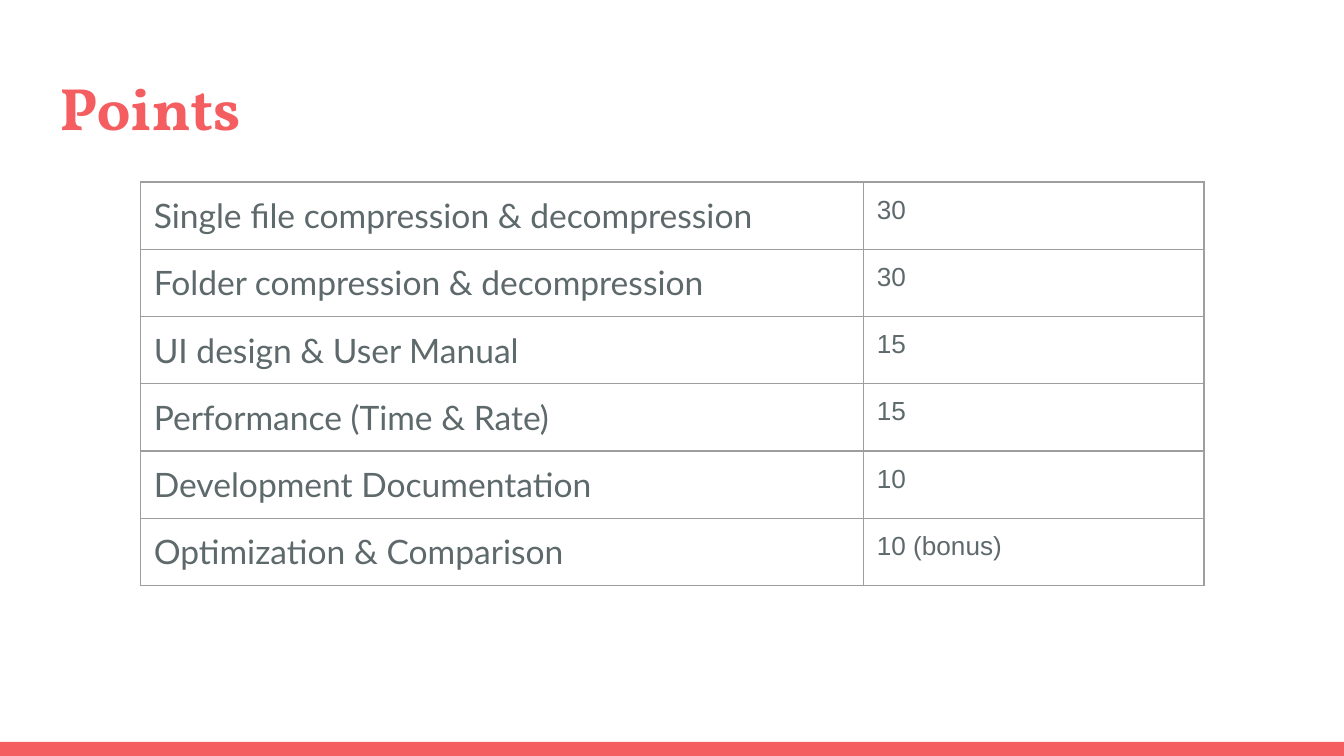
from lxml import etree
from pptx import Presentation, util as u
from pptx.dml.color import RGBColor
from pptx.enum import shapes, text
from pptx.oxml import ns

COLORS = {"coral": "F55E61", "slate": "5E696C", "rule": "9E9E9E", "white": "FFFFFF"}
COLUMNS = 100
ROWS = COLUMNS * 9 / 16

POINTS = [
    ("Single file compression & decompression", "30"),
    ("Folder compression & decompression", "30"),
    ("UI design & User Manual", "15"),
    ("Performance (Time & Rate)", "15"),
    ("Development Documentation", "10"),
    ("Optimization & Comparison", "10 (bonus)"),
]


def rgb(name):
    return RGBColor.from_string(COLORS[name])


def write(tf, content, font="Arial", size=14, color="slate", bold=False):
    tf.word_wrap = True
    tf.vertical_anchor = text.MSO_ANCHOR.TOP
    p = tf.paragraphs[0]
    p.alignment = text.PP_ALIGN.LEFT
    r = p.add_run()
    r.text = content
    r.font.name = font
    r.font.size = u.Pt(size)
    r.font.bold = bold
    r.font.color.rgb = rgb(color)


class Deck:
    margin = u.Inches(0.1)

    def __init__(self, width):
        self.prs = Presentation()
        self.prs.slide_width = u.Inches(width)
        self.prs.slide_height = u.Inches(width * ROWS / COLUMNS)
        self.s = self.prs.slides.add_slide(self.prs.slide_layouts[6])
        fill = self.s.background.fill
        fill.solid()
        fill.fore_color.rgb = rgb("white")

    def x(self, columns):
        return round(self.prs.slide_width * columns / COLUMNS)

    def y(self, rows):
        return round(self.prs.slide_height * rows / ROWS)

    def box(self, left, top, width, height):
        return self.x(left), self.y(top), self.x(width), self.y(height)

    def band(self, left, top, width, height, color):
        sp = self.s.shapes.add_shape(
            shapes.MSO_SHAPE.RECTANGLE, *self.box(left, top, width, height))
        sp.shadow.inherit = False
        sp.fill.solid()
        sp.fill.fore_color.rgb = rgb(color)
        sp.line.fill.background()

    def title(self, left, top, width, height, content):
        tf = self.s.shapes.add_textbox(*self.box(left, top, width, height)).text_frame
        tf.margin_left = tf.margin_right = self.margin
        tf.margin_top = tf.margin_bottom = self.margin
        write(tf, content, font="Vollkorn", size=32, color="coral", bold=True)

    def borders(self, cell):
        tc_pr = cell._tc.get_or_add_tcPr()
        for i, side in enumerate(("lnL", "lnR", "lnT", "lnB")):
            line = etree.Element(ns.qn(f"a:{side}"), w=str(u.Pt(0.75)))
            fill = etree.SubElement(line, ns.qn("a:solidFill"))
            etree.SubElement(fill, ns.qn("a:srgbClr"), val=COLORS["rule"])
            tc_pr.insert(i, line)

    def table(self, left, top, widths, row_height, records, formats):
        area = self.box(left, top, sum(widths), row_height * len(records))
        table = self.s.shapes.add_table(len(records), len(widths), *area).table
        table.first_row = table.horz_banding = False
        for column, width in zip(table.columns, widths):
            column.width = self.x(width)
        for row, record in zip(table.rows, records):
            row.height = self.y(row_height)
            for cell, content, style in zip(row.cells, record, formats):
                cell.margin_left = cell.margin_right = self.margin
                cell.margin_top = cell.margin_bottom = self.margin
                cell.fill.background()
                self.borders(cell)
                write(cell.text_frame, content, **style)


def main():
    deck = Deck(10)
    deck.band(0, 55.2, COLUMNS, ROWS - 55.2, "coral")
    deck.title(3.45, 4.3, 93.2, 6.8, "Points")
    deck.table(10.44, 13.54, (53.8, 25.35), 4.99, POINTS,
               ({"font": "Lato", "size": 18}, {"font": "Arial", "size": 14}))
    deck.prs.save("out.pptx")


if __name__ == "__main__":
    main()
